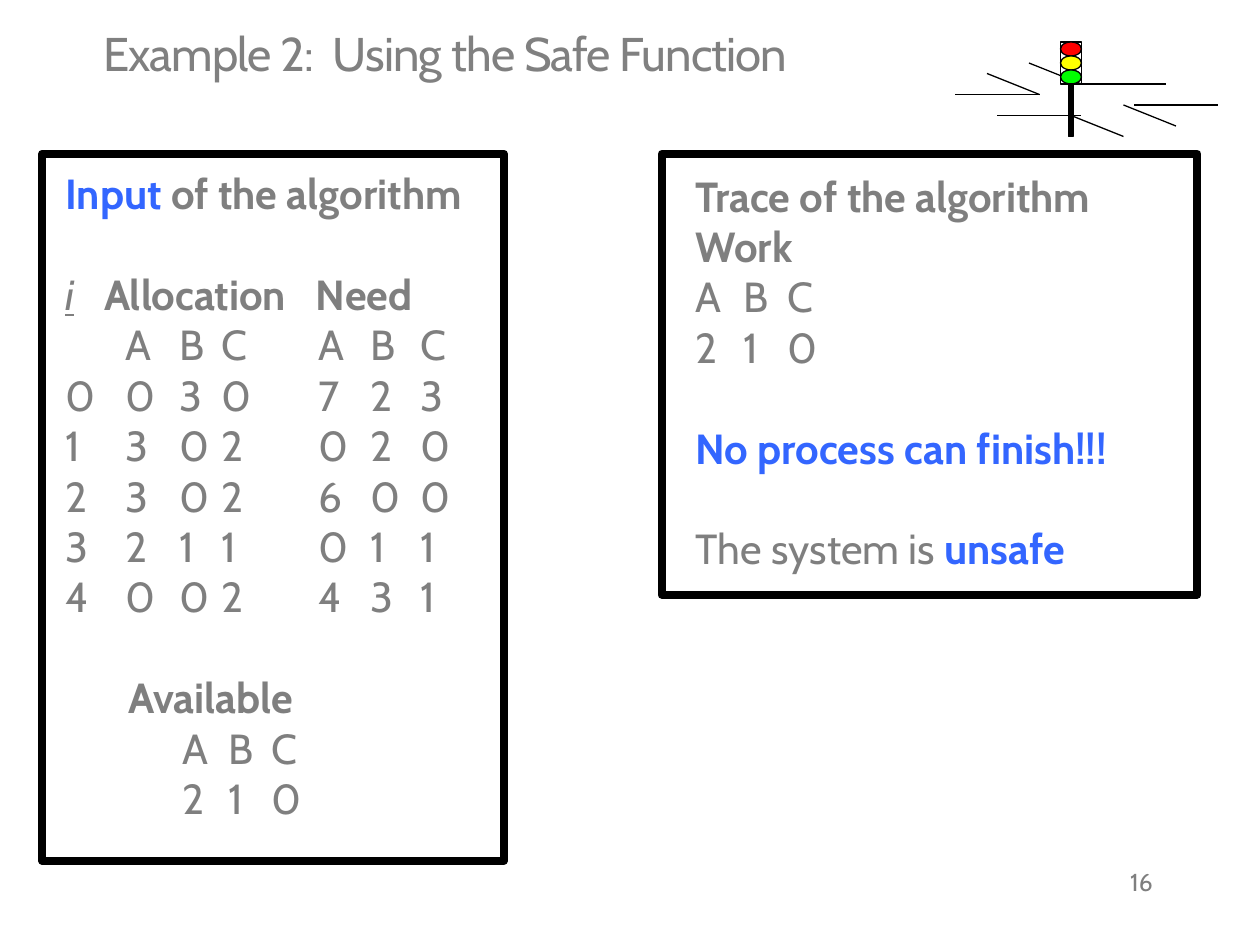
from dataclasses import dataclass

from lxml import etree
from pptx import Presentation
from pptx import util as u
from pptx.dml.color import RGBColor
from pptx.enum import shapes, text
from pptx.oxml import ns


@dataclass(frozen=True)
class Theme:
    font: str = "Cabin"
    title_color: str = "808080"
    body_color: str = "7F7F7F"
    accent: str = "3366FF"
    black: str = "000000"
    lamps: tuple = ("FF0000", "FFFF00", "00FF00")
    title_size: float = 27
    body_size: float = 24
    number_size: float = 14
    blank_line: float = 28.8
    thin: float = 0.75
    thick: float = 4.5


THEME = Theme()
GRID = 2.54 / 12  # the traffic light is drawn on a grid of 1/12 inch

BOLD = {"bold": True}
ACCENT = {"bold": True, "color": THEME.accent}
INDEX = {"italic": True, "underline": True}

# Tab stops in cm
HEADING_TABS = (0.78, 5.05)
MATRIX_TABS = (1.22, 2.3, 3.15, 5.1, 6.15, 7.15)
AVAILABLE_TABS = (1.27,)
AVAILABLE_VECTOR_TABS = (2.35, 3.28, 4.15)
WORK_TABS = (0.97, 1.85)

ALLOCATION_AND_NEED = (
    "\tA\tB\tC\tA\tB\tC",
    "0\t0\t3\t0\t7\t2\t3",
    "1\t3\t0\t2\t0\t2\t0",
    "2\t3\t0\t2\t6\t0\t0",
    "3\t2\t1\t1\t0\t1\t1",
    "4\t0\t0\t2\t4\t3\t1",
)


def cm_box(*lengths):
    return [u.Cm(length) for length in lengths]


def format_run(run, size, color, bold=False, italic=False, underline=False):
    font = run.font
    font.name, font.size = THEME.font, u.Pt(size)
    font.color.rgb = RGBColor.from_string(color)
    font.bold, font.italic, font.underline = bold, italic, underline


def add_tabs(paragraph, stops):
    tab_list = etree.SubElement(paragraph._p.get_or_add_pPr(), ns.qn("a:tabLst"))
    for stop in stops:
        etree.SubElement(tab_list, ns.qn("a:tab"), pos=str(u.Cm(stop)), algn="l")


def add_text_frame(slide, box, insets=(0.25, 0.13)):
    frame = slide.shapes.add_textbox(*cm_box(*box)).text_frame
    frame.word_wrap = True
    frame.vertical_anchor = text.MSO_ANCHOR.TOP
    frame.margin_left = frame.margin_right = u.Cm(insets[0])
    frame.margin_top = frame.margin_bottom = u.Cm(insets[1])
    return frame


def add_label(slide, box, label, size, color, **options):
    frame = add_text_frame(slide, box, **options)
    frame.text = label
    paragraph = frame.paragraphs[0]
    format_run(paragraph.runs[0], size, color)
    return paragraph


def add_body(slide, box, lines):
    """Each line is (runs, tab stops, gap above); a run is (words, style)."""
    frame = add_text_frame(slide, box)
    for position, (runs, stops, gap) in enumerate(lines):
        paragraph = frame.add_paragraph() if position else frame.paragraphs[0]
        if gap:
            paragraph.space_before = u.Pt(THEME.blank_line)
        if stops:
            add_tabs(paragraph, stops)
        for words, style in runs:
            run = paragraph.add_run()
            run.text = words
            format_run(run, THEME.body_size, **{"color": THEME.body_color, **style})


def add_outline(parent, kind, box, fill=None, width=THEME.thin):
    shape = parent.shapes.add_shape(kind, *cm_box(*box))
    shape.shadow.inherit = False
    if fill:
        shape.fill.solid()
        shape.fill.fore_color.rgb = RGBColor.from_string(fill)
    else:
        shape.fill.background()
    shape.line.color.rgb = RGBColor.from_string(THEME.black)
    shape.line.width = u.Pt(width)


def add_road_line(group, points):
    ends = cm_box(*(point * GRID for point in points))
    line = group.shapes.add_connector(shapes.MSO_CONNECTOR.STRAIGHT, *ends)
    line.line.color.rgb = RGBColor.from_string(THEME.black)
    line.line.width = u.Pt(THEME.thin)
    etree.SubElement(line._element.spPr, ns.qn("a:effectLst"))


def add_traffic_light(slide):
    group = slide.shapes.add_group_shape()
    # Road edges: slanted, then level
    for left, top in ((94, 7), (98, 6), (107, 10), (102, 11)):
        add_road_line(group, (left, top, left + 5, top + 2))
    for left, top in ((103, 8), (108, 10), (91, 9), (95, 11)):
        add_road_line(group, (left, top, left + 8, top))
    # Housing, lamps and pole
    left, top, width, height = (value * GRID for value in (101, 4, 2, 4))
    add_outline(group, shapes.MSO_SHAPE.RECTANGLE, (left, top, width, height))
    lamp_height = height / len(THEME.lamps)
    for position, color in enumerate(THEME.lamps):
        lamp_top = top + position * lamp_height
        add_outline(group, shapes.MSO_SHAPE.OVAL,
                    (left, lamp_top, width, lamp_height), color)
    pole_width = 0.09
    add_outline(group, shapes.MSO_SHAPE.RECTANGLE,
                (left + (width - pole_width) / 2, top + height,
                 pole_width, 5 * GRID), THEME.black)


def main():
    presentation = Presentation()
    presentation.slide_width, presentation.slide_height = cm_box(25.4, 19.05)
    slide = presentation.slides.add_slide(presentation.slide_layouts[6])

    # Slide number and title
    number = add_label(slide, (18.21, 17.35, 5.28, 1.27), "16",
                       THEME.number_size, THEME.body_color)
    number.alignment = text.PP_ALIGN.RIGHT
    title = add_label(slide, (1.9, 0.51, 21.6, 1.68),
                      "Example 2:  Using the Safe Function",
                      THEME.title_size, THEME.title_color, insets=(0.18, 0.1))
    title.line_spacing = 0.9
    title.runs[0].font._element.set("spc", "-50")

    add_traffic_light(slide)

    # Input of the algorithm
    add_body(slide, (1.07, 3.25, 9.35, 13.59), [
        ([("Input", ACCENT), (" of the algorithm", BOLD)], (), False),
        ([("i", INDEX), ("\tAllocation\tNeed", BOLD)], HEADING_TABS, True),
        *(([(row, {})], MATRIX_TABS, False) for row in ALLOCATION_AND_NEED),
        ([("\tAvailable", BOLD)], AVAILABLE_TABS, True),
        *(([(row, {})], AVAILABLE_VECTOR_TABS, False)
          for row in ("\tA\tB\tC", "\t2\t1\t0")),
    ])

    # Trace of the algorithm
    add_body(slide, (13.77, 3.3, 9.6, 8.46), [
        ([("Trace of the algorithm", BOLD)], (), False),
        ([("Work", BOLD)], (), False),
        *(([(row, {})], WORK_TABS, False) for row in ("A\tB\tC", "2\t1\t0")),
        ([("No process can finish!!!", ACCENT)], (), True),
        ([("The system is ", {}), ("unsafe", ACCENT)], (), True),
    ])

    # Frames around both parts
    for box in ((0.85, 3.1, 9.31, 14.25), (13.34, 3.1, 10.8, 8.89)):
        add_outline(slide, shapes.MSO_SHAPE.RECTANGLE, box, width=THEME.thick)

    presentation.save("out.pptx")


if __name__ == "__main__":
    main()
